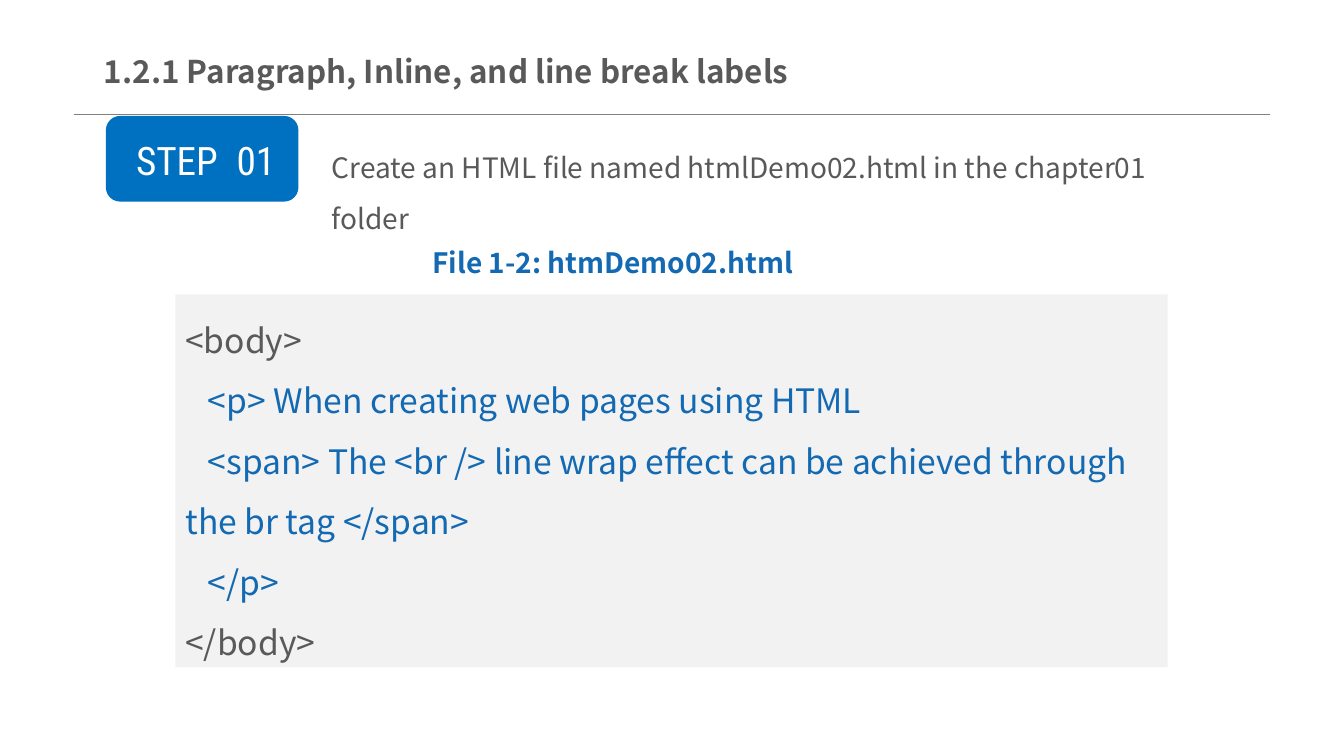
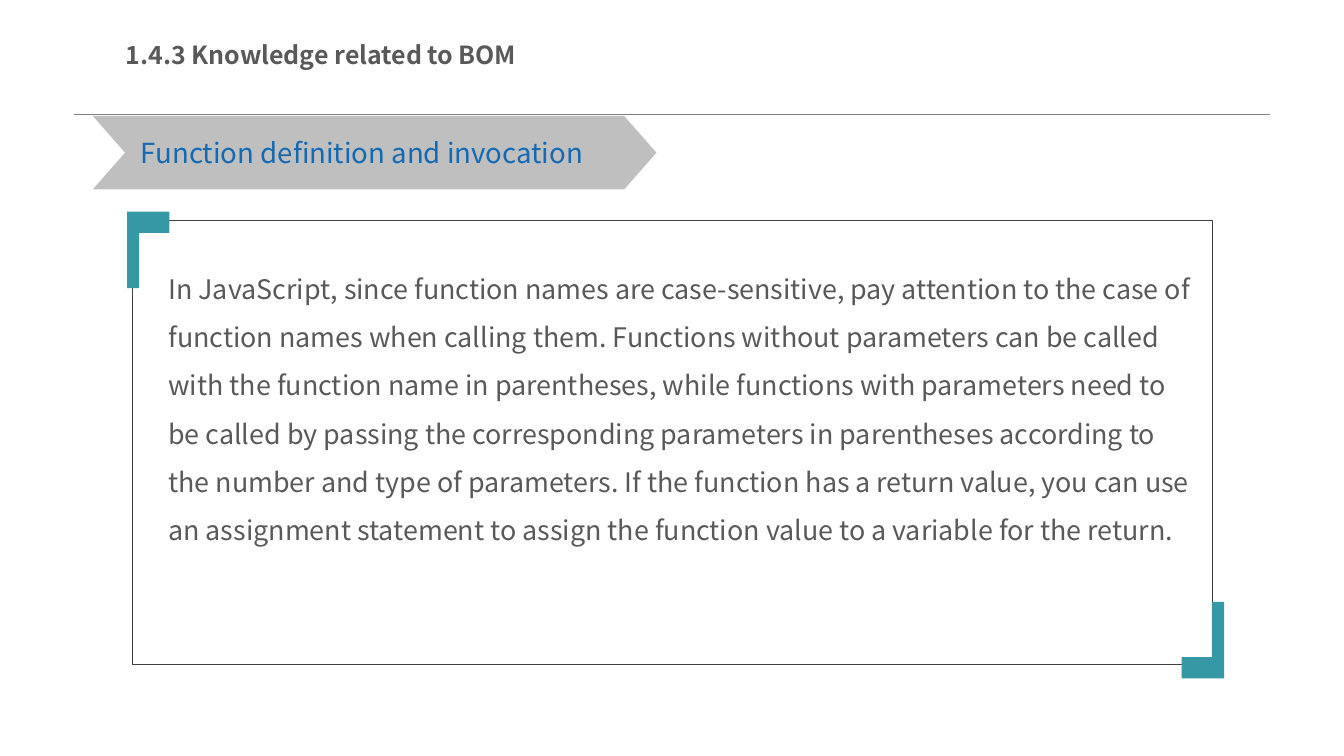
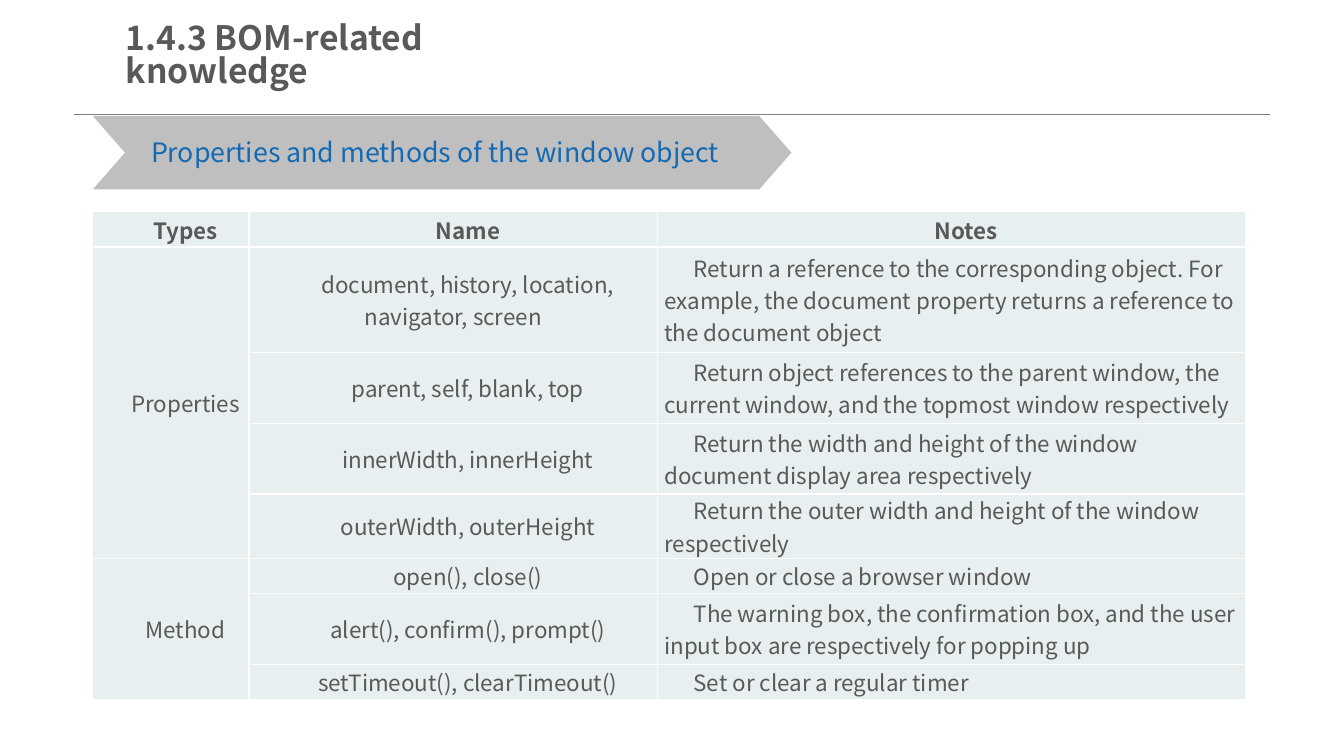
from pptx import Presentation
from pptx.dml.color import RGBColor
from pptx.enum.shapes import MSO_CONNECTOR, MSO_SHAPE
from pptx.enum.text import MSO_ANCHOR, PP_ALIGN
from pptx.oxml.ns import qn
from pptx.util import Inches, Pt
from lxml import etree

COLORS = {
    "text": "595959", "accent": "1369B2", "badge": "0070C0", "teal": "3698A4",
    "chevron": "BFBFBF", "code": "F2F2F2", "cell": "E8EFF0", "white": "FFFFFF",
    "rule": "808080", "frame": "404040",
}
FONT = "Noto Sans CJK SC"
BADGE_FONT = "Roboto Condensed"
BODY_INSETS = (0.1, 0.05, 0.1, 0.05)
CELL_INSETS = (0.07, 0, 0.07, 0)
ROW_HEIGHTS = (0.35, 1.05, 0.7, 0.7, 0.64, 0.35, 0.7, 0.35)
COL_WIDTHS = (1.55, 4.05, 5.83)
TABLE_ROWS = [
    ("Types", "Name", "Notes"),
    ("Properties", "document, history, location, navigator, screen",
     "Return a reference to the corresponding object. For example, the document "
     "property returns a reference to the document object"),
    ("", "parent, self, blank, top",
     "Return object references to the parent window, the current window, and the "
     "topmost window respectively"),
    ("", "innerWidth, innerHeight",
     "Return the width and height of the window document display area respectively"),
    ("", "outerWidth, outerHeight",
     "Return the outer width and height of the window respectively"),
    ("Method", "open(), close()", "Open or close a browser window"),
    ("", "alert(), confirm(), prompt()",
     "The warning box, the confirmation box, and the user input box are "
     "respectively for popping up"),
    ("", "setTimeout(), clearTimeout()", "Set or clear a regular timer"),
]
CODE_LINES = [
    ("<body>", "text"),
    ("   <p> When creating web pages using HTML", "accent"),
    ("   <span> The <br /> line wrap effect can be achieved through the br tag </span>",
     "accent"),
    ("   </p>", "accent"),
    ("</body>", "text"),
]
FUNCTION_NOTE = (
    "In JavaScript, since function names are case-sensitive, pay attention to the case "
    "of function names when calling them. Functions without parameters can be called "
    "with the function name in parentheses, while functions with parameters need to be "
    "called by passing the corresponding parameters in parentheses according to the "
    "number and type of parameters. If the function has a return value, you can use an "
    "assignment statement to assign the function value to a variable for the return."
)


def rgb(name):
    return RGBColor.from_string(COLORS[name])


def inches(box):
    return [Inches(v) for v in box]


def set_font(font, color="text", **values):
    for key, value in {"name": FONT, "bold": False, **values}.items():
        setattr(font, key, value)
    font.color.rgb = rgb(color)


def set_frame(tf, insets=BODY_INSETS, **values):
    sides = ("margin_left", "margin_top", "margin_right", "margin_bottom")
    for key, value in {"word_wrap": True, **dict(zip(sides, inches(insets))), **values}.items():
        setattr(tf, key, value)


def write_lines(tf, lines, size, align=PP_ALIGN.LEFT, spacing=1.0, **font):
    """Fill a text frame with (text, colour) paragraphs."""
    for i, (text, color) in enumerate(lines):
        p = tf.add_paragraph() if i else tf.paragraphs[0]
        p.alignment, p.line_spacing = align, spacing
        r = p.add_run()
        r.text = text
        set_font(r.font, color, size=Pt(size), **font)


def add_text(s, box, text, size, color="text", frame=None, **style):
    tb = s.shapes.add_textbox(*inches(box))
    set_frame(tb.text_frame, **(frame or {}))
    write_lines(tb.text_frame, [(text, color)], size, **style)
    return tb


def style_shape(sp, fill=None, line=None):
    sp.shadow.inherit = False
    if fill:
        sp.fill.solid()
        sp.fill.fore_color.rgb = rgb(fill)
    else:
        sp.fill.background()
    if line:
        sp.line.color.rgb = rgb(line)
        sp.line.width = Pt(0.25)
    else:
        sp.line.fill.background()
    return sp


def add_box(s, kind, box, **style):
    return style_shape(s.shapes.add_shape(kind, *inches(box)), **style)


def add_titled_slide(prs, title, size, box=(1.25, 0.29, 4.26, 0.55)):
    s = prs.slides.add_slide(prs.slide_layouts[6])
    rule = s.shapes.add_connector(MSO_CONNECTOR.STRAIGHT, *inches((0.73, 1.13, 12.6, 1.13)))
    rule.line.color.rgb = rgb("rule")
    rule.line.width = Pt(0.25)
    etree.SubElement(rule._element.spPr, qn("a:effectLst"))
    frame = {"insets": (0, 0.07, 0, 0.07), "vertical_anchor": MSO_ANCHOR.MIDDLE}
    add_text(s, box, title, size, frame=frame, spacing=0.83, bold=True)
    return s


def add_step_badge(s, left, top, number):
    add_box(s, MSO_SHAPE.ROUNDED_RECTANGLE, (left, top, 1.91, 0.85), fill="badge")
    tb = add_text(s, (left + 0.1, top + 0.15, 1.78, 0.57), "STEP", 28, "white",
                  align=PP_ALIGN.CENTER, name=BADGE_FONT)
    p = tb.text_frame.paragraphs[0]
    for text in (" ", number):
        r = p.add_run()
        r.text = text
        set_font(r.font, "white", size=Pt(28), name=BADGE_FONT)
    p.runs[1].font._element.set("spc", "700")  # widens the gap before the number


def add_code_panel(s, box, lines):
    sp = add_box(s, MSO_SHAPE.RECTANGLE, box, fill="code")
    set_frame(sp.text_frame, vertical_anchor=MSO_ANCHOR.MIDDLE)
    write_lines(sp.text_frame, lines, 24, spacing=1.5)


def add_chevron_heading(s, width, text, size, indent):
    left, top = 0.92, 1.15
    sp = add_box(s, MSO_SHAPE.CHEVRON, (left, top, width, 0.73), fill="chevron")
    sp.adjustments[0] = 0.438
    add_text(s, (left + indent, top + 0.15, width - 1, 0.44), text, size, "accent",
             frame={"word_wrap": False})


def add_corner_bracket(s, left, top, rotation=0):
    w, h, bar_w, bar_h = 0.42, 0.76, 0.12, 0.21
    outline = [(w, 0), (w, bar_h), (bar_w, bar_h), (bar_w, h), (0, h)]
    fb = s.shapes.build_freeform(Inches(left), Inches(top))
    fb.add_line_segments([(Inches(left + x), Inches(top + y)) for x, y in outline])
    sp = style_shape(fb.convert_to_shape(), fill="teal")
    sp.rotation = rotation


def add_framed_note(s, box, text):
    left, top, width, height = box
    add_box(s, MSO_SHAPE.RECTANGLE, box, line="frame")
    add_text(s, (left + 0.36, top + 0.36, width - 0.55, height - 0.6), text, 19.2,
             frame={"insets": (0, 0, 0, 0)}, spacing=1.5)
    add_corner_bracket(s, left - 0.05, top - 0.08)
    add_corner_bracket(s, left + width - 0.3, top + height - 0.62, 180)


def set_borders(cell):
    tc_pr = cell._tc.get_or_add_tcPr()
    for i, side in enumerate(("lnL", "lnR", "lnT", "lnB")):
        ln = etree.Element(qn(f"a:{side}"), w=str(Pt(1)))
        fill = etree.SubElement(ln, qn("a:solidFill"))
        etree.SubElement(fill, qn("a:srgbClr"), val=COLORS["white"])
        tc_pr.insert(i, ln)


def add_window_table(s, left, top):
    size = (sum(COL_WIDTHS), sum(ROW_HEIGHTS))
    table = s.shapes.add_table(len(TABLE_ROWS), len(COL_WIDTHS),
                               *inches((left, top, *size))).table
    table.first_row = table.horz_banding = False
    for col, width in zip(table.columns, COL_WIDTHS):
        col.width = Inches(width)
    for row, height in zip(table.rows, ROW_HEIGHTS):
        row.height = Inches(height)
    for i, texts in enumerate(TABLE_ROWS):
        for j, text in enumerate(texts):
            cell = table.cell(i, j)
            cell.fill.solid()
            cell.fill.fore_color.rgb = rgb("cell")
            set_borders(cell)
            cell.vertical_anchor = MSO_ANCHOR.MIDDLE
            cell.margin_left, cell.margin_top, cell.margin_right, cell.margin_bottom = (
                inches(CELL_INSETS))
            if not text:
                continue
            align = PP_ALIGN.LEFT if i and j == 2 else PP_ALIGN.CENTER
            write_lines(cell.text_frame, [(text, "text")], 16, align, bold=i == 0)
            p_pr = cell.text_frame.paragraphs[0]._p.get_or_add_pPr()
            p_pr.set("indent", str(Inches(0.29)))
    for first, last in ((1, 4), (5, 7)):
        table.cell(first, 0).merge(table.cell(last, 0))


def build_step_slide(prs):
    s = add_titled_slide(prs, "1.2.1 Paragraph, Inline, and line break labels", 22.4,
                         (1.03, 0.27, 8.41, 0.94))
    add_step_badge(s, 1.05, 1.15, "01")
    add_text(s, (3.19, 1.28, 8.68, 0.55),
             "Create an HTML file named htmlDemo02.html in the chapter01 folder", 20,
             spacing=1.5)
    add_text(s, (4.19, 2.22, 4.94, 0.61), "File 1-2: htmDemo02.html", 20, "accent",
             spacing=1.5, bold=True)
    add_code_panel(s, (1.74, 2.92, 9.84, 3.7), CODE_LINES)


def build_function_slide(prs):
    s = add_titled_slide(prs, "1.4.3 Knowledge related to BOM", 17.8)
    add_chevron_heading(s, 5.59, "Function definition and invocation", 19.7, 0.38)
    add_framed_note(s, (1.31, 2.18, 10.71, 4.41), FUNCTION_NOTE)


def build_window_slide(prs):
    s = add_titled_slide(prs, "1.4.3 BOM-related knowledge", 24)
    add_chevron_heading(s, 6.93, "Properties and methods of the window object", 19.1, 0.48)
    add_window_table(s, 0.92, 2.1)


def main():
    prs = Presentation()
    prs.slide_width, prs.slide_height = Inches(13.33), Inches(7.5)
    for build in (build_step_slide, build_function_slide, build_window_slide):
        build(prs)
    prs.save("out.pptx")


if __name__ == "__main__":
    main()
